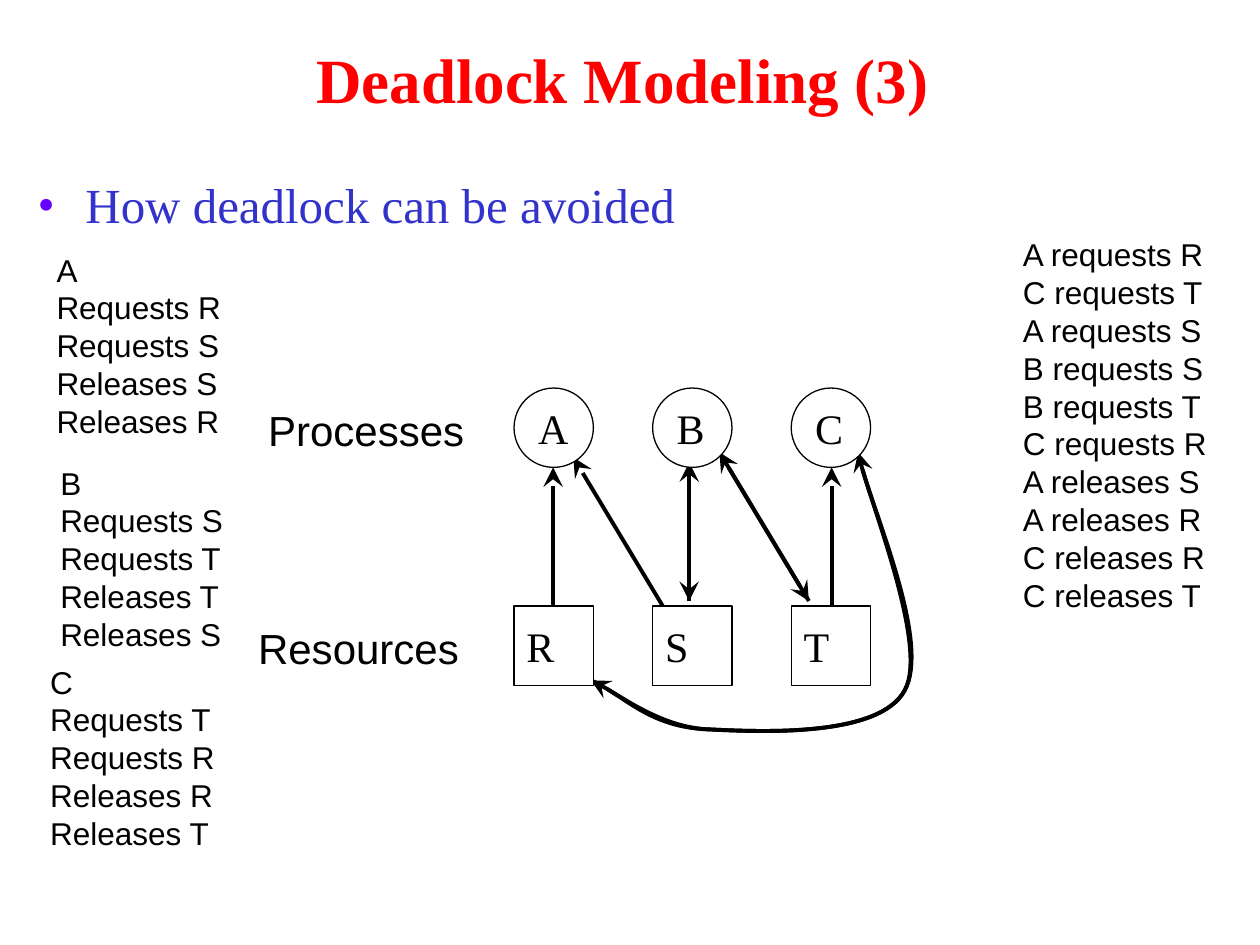
from lxml.etree import SubElement
from pptx import Presentation
from pptx.dml.color import RGBColor
from pptx.enum.shapes import MSO_CONNECTOR, MSO_SHAPE
from pptx.enum.text import MSO_ANCHOR, MSO_AUTO_SIZE, PP_ALIGN
from pptx.oxml.ns import qn
from pptx.util import Inches, Pt

TITLE = "Deadlock Modeling (3)"
BULLET = "How deadlock can be avoided"
LISTS = [
    (0.35, 1.94, 1.51, 1.6, ["A", "Requests R", "Requests S", "Releases S", "Releases R"]),
    (0.38, 3.63, 1.49, 1.6, ["B", "Requests S", "Requests T", "Releases T", "Releases S"]),
    (0.3, 5.21, 1.51, 1.6, ["C", "Requests T", "Requests R", "Releases R", "Releases T"]),
    (8.02, 1.82, 1.66, 3.1, [
        "A requests R", "C requests T", "A requests S", "B requests S", "B requests T",
        "C requests R", "A releases S", "A releases R", "C releases R", "C releases T"]),
]
ROW_LABELS = [(1.95, 4.89, 1.8, 0.5, ["Resources"]), (2.03, 3.16, 1.76, 0.5, ["Processes"])]
NODE_ROWS = [(MSO_SHAPE.OVAL, 3.08, "ABC"), (MSO_SHAPE.RECTANGLE, 4.81, "RST")]
NODE_LEFT, NODE_STEP, NODE_SIZE = 4.08, 1.1, 0.63
HEAD, TAIL = "headEnd", "tailEnd"
ARROWS = [
    (4.39, 4.81, 4.39, 3.71, [TAIL]),
    (6.6, 4.81, 6.6, 3.71, [TAIL]),
    (4.55, 3.63, 5.26, 4.81, [HEAD]),
    (5.47, 4.77, 5.47, 3.67, [TAIL, HEAD]),
    (5.71, 3.59, 6.42, 4.77, [TAIL, HEAD]),
]
CURVE = [
    (6.81, 3.59), (6.87, 3.91), (7.38, 5.12), (7.18, 5.48), (6.98, 5.85),
    (6.05, 5.81), (5.64, 5.79), (5.22, 5.78), (4.88, 5.48), (4.69, 5.4),
]
SERIF, SANS = "Times New Roman", "Arial"
BLACK, WHITE = "000000", "FFFFFF"


def color(value):
    return RGBColor.from_string(value)


def write(frame, lines, size, font=SANS, fill=BLACK, bold=False, align=PP_ALIGN.LEFT,
          anchor=MSO_ANCHOR.TOP, wrap=False, indent=0.5):
    frame.word_wrap = wrap
    frame.auto_size = MSO_AUTO_SIZE.NONE
    frame.vertical_anchor = anchor
    for index, line in enumerate(lines):
        para = frame.add_paragraph() if index else frame.paragraphs[0]
        para.alignment = align
        properties = para._p.get_or_add_pPr()
        properties.set("marL", str(Inches(indent)))
        properties.set("indent", str(-Inches(indent)))
        span = para.add_run()
        span.text = line
        span.font.name, span.font.size, span.font.bold = font, Pt(size), bold
        span.font.color.rgb = color(fill)


def add_text(page, left, top, width, height, lines, size, **style):
    box = page.shapes.add_textbox(*map(Inches, (left, top, width, height)))
    write(box.text_frame, lines, size, **style)
    return box


def outline(shape, width):
    shape.line.color.rgb = color(BLACK)
    shape.line.width = Pt(width)


def add_arrowhead(shape, end):
    SubElement(shape.line._get_or_add_ln(), qn(f"a:{end}"), type="stealth", w="lg", len="lg")


def add_arrow(page, start_x, start_y, end_x, end_y, end):
    arrow = page.shapes.add_connector(
        MSO_CONNECTOR.STRAIGHT, *map(Inches, (start_x, start_y, end_x, end_y)))
    outline(arrow, 2.25)
    add_arrowhead(arrow, end)
    SubElement(arrow._element.spPr, qn("a:effectLst"))


def add_curve(page, points, end):
    start, *others = [tuple(map(Inches, point)) for point in points]
    builder = page.shapes.build_freeform(*start)
    builder.add_line_segments(others, close=False)
    curve = builder.convert_to_shape()
    curve.shadow.inherit = False
    curve.fill.background()
    outline(curve, 2.25)
    add_arrowhead(curve, end)
    outline_path = next(curve._element.iter(qn("a:path")))
    segments = outline_path.findall(qn("a:lnTo"))
    for first in range(0, len(segments), 3):
        bezier = SubElement(outline_path, qn("a:cubicBezTo"))
        for segment in segments[first:first + 3]:
            bezier.append(segment[0])
            outline_path.remove(segment)


def add_node(page, kind, left, top, name):
    node = page.shapes.add_shape(kind, *map(Inches, (left, top, NODE_SIZE, NODE_SIZE)))
    node.shadow.inherit = False
    node.fill.solid()
    node.fill.fore_color.rgb = color(WHITE)
    outline(node, 0.75)
    write(node.text_frame, [name], 24, font=SERIF, anchor=MSO_ANCHOR.MIDDLE)


def add_bullet(page):
    box = add_text(page, 0.2, 1.39, 9.6, 0.55, [BULLET], 28,
                   font=SERIF, fill="3333CC", wrap=True, indent=0.38)
    para = box.text_frame.paragraphs[0]
    para.line_spacing = 0.9
    para.space_before = Pt(5.6)
    properties = para._p.get_or_add_pPr()
    SubElement(SubElement(properties, qn("a:buClr")), qn("a:srgbClr"), val="6600FF")
    SubElement(properties, qn("a:buFont"), typeface=SERIF)
    SubElement(properties, qn("a:buChar"), char="•")


def main():
    deck = Presentation()
    deck.slide_width, deck.slide_height = Inches(10), Inches(7.5)
    page = deck.slides.add_slide(deck.slide_layouts[5])
    title = page.shapes.title
    title.left, title.top, title.width, title.height = map(Inches, (0.69, 0.27, 8.5, 0.71))
    write(title.text_frame, [TITLE], 36, font=SERIF, fill="FF0000", bold=True,
          align=PP_ALIGN.CENTER, anchor=MSO_ANCHOR.MIDDLE, wrap=True, indent=0)
    add_bullet(page)
    for *place, lines in LISTS:
        add_text(page, *place, lines, 18)
    for *place, lines in ROW_LABELS:
        add_text(page, *place, lines, 24)
    for *ends, heads in ARROWS:
        for end in heads:
            add_arrow(page, *ends, end)
    for end in (TAIL, HEAD):
        add_curve(page, CURVE, end)
    for kind, top, names in NODE_ROWS:
        for column, name in enumerate(names):
            add_node(page, kind, NODE_LEFT + column * NODE_STEP, top, name)
    deck.save("out.pptx")


if __name__ == "__main__":
    main()
